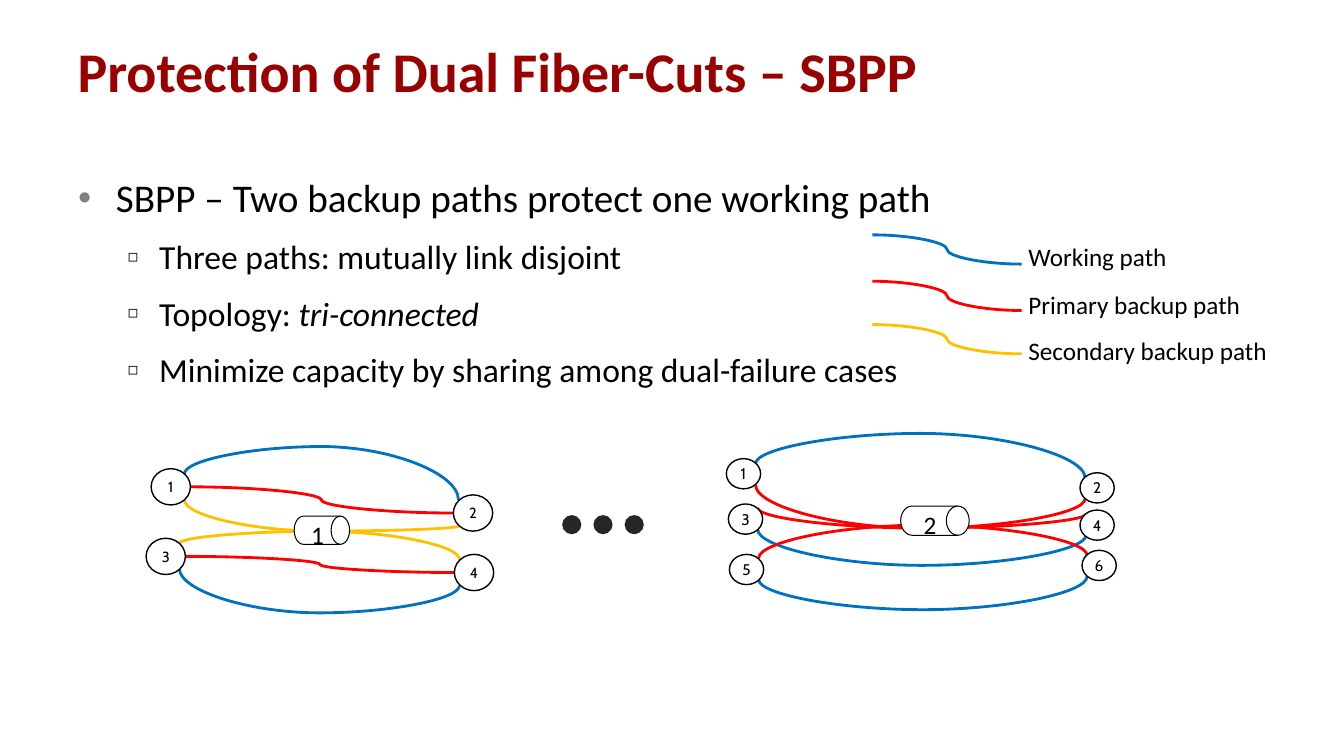
from dataclasses import dataclass

from lxml.etree import SubElement
from pptx import Presentation
from pptx.dml.color import RGBColor
from pptx.enum.shapes import MSO_CONNECTOR, MSO_SHAPE
from pptx.enum.text import MSO_ANCHOR, MSO_AUTO_SIZE, PP_ALIGN
from pptx.oxml.ns import qn
from pptx.util import Inches, Pt


@dataclass(frozen=True)
class Theme:
    font: str = "Calibri"
    node_font: str = "Cabin"
    title: str = "990000"
    ink: str = "000000"
    paper: str = "FFFFFF"
    bullet: str = "808080"
    dot: str = "262626"
    work: str = "0070C0"
    first: str = "FF0000"
    second: str = "FFC000"
    title_size: float = 40
    body_size: float = 28
    sub_size: float = 24
    label_size: float = 18


theme = Theme()
deck = Presentation()
deck.slide_width, deck.slide_height = Inches(13.34), Inches(7.5)
slide = deck.slides.add_slide(deck.slide_layouts[1])
shapes = slide.shapes


def write(para, text, size, color=theme.ink, **style):
    """Add a run to the paragraph with its font set."""
    run = para.add_run()
    run.text = text
    look = {"name": theme.font, "size": Pt(size), **style}
    for key, value in look.items():
        setattr(run.font, key, value)
    run.font.color.rgb = RGBColor.from_string(color)


def curve(x1, y1, x2, y2, color, bend=None):
    """Draw an S curve, or with bend an arc that reaches that height."""
    ends = (x1, y1, x2, y2)
    if bend is not None:
        # An arc is an S curve turned a quarter, about the same centre.
        mid_x, mid_y = (x1 + x2) / 2, (y1 + y2) / 2
        rise, half = abs(y2 - y1) / 2, (x2 - x1) / 2
        down = y2 > y1
        reach = -half if down else half
        ends = (mid_x + rise, mid_y + reach, mid_x - rise, mid_y - reach)
    line = shapes.add_connector(MSO_CONNECTOR.CURVE, *map(Inches, ends))
    line.line.color.rgb = RGBColor.from_string(color)
    line.line.width = Pt(2)
    props = line.element.spPr
    SubElement(props, qn("a:effectLst"))
    if bend is not None:
        turn = 270 if down else 90
        props.find(qn("a:xfrm")).set("rot", str(turn * 60000))
        share = round((bend - y1) / (y2 - y1) * 100000)
        guides = props.find(qn("a:prstGeom")).find(qn("a:avLst"))
        SubElement(guides, qn("a:gd"), name="adj1", fmla=f"val {share}")


# Title and list
title, body = shapes.title, slide.placeholders[1]
for holder, box in ((title, (0.67, 0.3, 12, 0.8)),
                    (body, (0.67, 1.48, 10.48, 2.61))):
    holder.left, holder.top, holder.width, holder.height = map(Inches, box)
    holder.text_frame.auto_size = MSO_AUTO_SIZE.NONE
title.text_frame.vertical_anchor = MSO_ANCHOR.MIDDLE
head = title.text_frame.paragraphs[0]
head.alignment = PP_ALIGN.LEFT
write(head, "Protection of Dual Fiber-Cuts – SBPP", theme.title_size,
      theme.title, bold=True)

points = [
    (0, "SBPP – Two backup paths protect one working path", ""),
    (1, "Three paths: mutually link disjoint", ""),
    (1, "Topology: ", "tri-connected"),
    (1, "Minimize capacity by sharing among dual-failure cases", ""),
]
levels = [
    {"mark": "●", "scale": 60, "left": 0.38, "hang": 0.38, "size": theme.body_size},
    {"mark": "◻", "scale": 50, "left": 0.81, "hang": 0.31, "size": theme.sub_size},
]
for row, (level, text, slant) in enumerate(points):
    frame = body.text_frame
    para = frame.add_paragraph() if row else frame.paragraphs[0]
    style = levels[level]
    para.level = level
    para.line_spacing = 1.4
    para.space_before = Pt(0)
    write(para, text, style["size"])
    if slant:
        write(para, slant, style["size"], italic=True)
    props = para._p.get_or_add_pPr()
    props.set("marL", str(Inches(style["left"])))
    props.set("indent", str(-Inches(style["hang"])))
    if level == 0:
        SubElement(SubElement(props, qn("a:buClr")), qn("a:srgbClr"), val=theme.bullet)
    SubElement(props, qn("a:buSzPct"), val=str(style["scale"] * 1000))
    SubElement(props, qn("a:buChar"), char=style["mark"])

# Paths: ends, colour and, for arcs, the height they reach
paths = [
    (7.5, 4.6, 10.77, 4.74, theme.work, 4.3),
    (7.52, 5.04, 10.78, 5.1, theme.first, 5.24),
    (7.52, 5.25, 10.78, 5.31, theme.work, 5.61),
    (7.5, 4.81, 10.77, 4.95, theme.first, 5.24),
    (7.53, 5.54, 10.79, 5.51, theme.first, 5.21),
    (7.53, 5.75, 10.79, 5.72, theme.work, 6.05),
    (1.88, 4.83, 4.5, 5.09, theme.first),
    (1.83, 4.96, 4.55, 5.22, theme.second, 5.27),
    (1.83, 4.7, 4.55, 4.96, theme.work, 4.43),
    (1.84, 5.52, 4.51, 5.68, theme.first),
    (1.78, 5.64, 4.56, 5.81, theme.work, 6.08),
    (1.78, 5.39, 4.56, 5.55, theme.second, 5.27),
]
for path in paths:
    curve(*path)

# Nodes, drums and dots: kind, box, fill, outline width
nets = [
    (0.39, 0.36, 10.5, [(1.5, 4.65), (4.5, 4.91), (1.45, 5.34), (4.51, 5.5)]),
    (0.34, 0.3, 11, [(7.21, 4.55), (10.72, 4.69), (7.23, 5), (10.72, 5.06),
                     (7.24, 5.5), (10.74, 5.46)]),
]
solids = [
    (MSO_SHAPE.FLOWCHART_CONNECTOR, (x, y, wide, high), theme.paper, 1, str(num), size)
    for wide, high, size, spots in nets
    for num, (x, y) in enumerate(spots, 1)
]
solids += [
    (MSO_SHAPE.FLOWCHART_DIRECT_ACCESS_STORAGE, box, theme.paper, 0.75, "", 0)
    for box in ((2.92, 5.12, 0.55, 0.28), (8.94, 5.02, 0.68, 0.29))
]
solids += [
    (MSO_SHAPE.OVAL, (5.58 + 0.31 * step, 5.11, 0.19, 0.19), theme.dot, 0, "", 0)
    for step in range(3)
]
inset = {"margin_left": 0, "margin_right": 0, "margin_top": 0,
         "margin_bottom": 0, "vertical_anchor": MSO_ANCHOR.MIDDLE}
for kind, box, fill, edge, text, size in solids:
    solid = shapes.add_shape(kind, *map(Inches, box))
    solid.shadow.inherit = False
    solid.fill.solid()
    solid.fill.fore_color.rgb = RGBColor.from_string(fill)
    if edge:
        solid.line.color.rgb = RGBColor.from_string(theme.ink)
        solid.line.width = Pt(edge)
    else:
        solid.line.fill.background()
    if text:
        for key, value in inset.items():
            setattr(solid.text_frame, key, value)
        para = solid.text_frame.paragraphs[0]
        para.alignment = PP_ALIGN.CENTER
        para.space_before = Pt(5)
        write(para, text, size, name=theme.node_font)

# Legend and drum numbers
for top, color in ((2.33, theme.work), (2.79, theme.first), (3.22, theme.second)):
    curve(8.66, top, 10.14, top + 0.29, color)
labels = [
    ("Working path", (10.11, 2.34, 1.59, 0.4)),
    ("Primary backup path", (10.11, 2.82, 2.33, 0.4)),
    ("Secondary backup path", (10.11, 3.28, 2.6, 0.4)),
    ("1", (2.99, 5.1, 0.32, 0.34)),
    ("2", (9.07, 5, 0.32, 0.34)),
]
for text, box in labels:
    label = shapes.add_textbox(*map(Inches, box))
    label.text_frame.word_wrap = False
    write(label.text_frame.paragraphs[0], text, theme.label_size)

deck.save("out.pptx")
